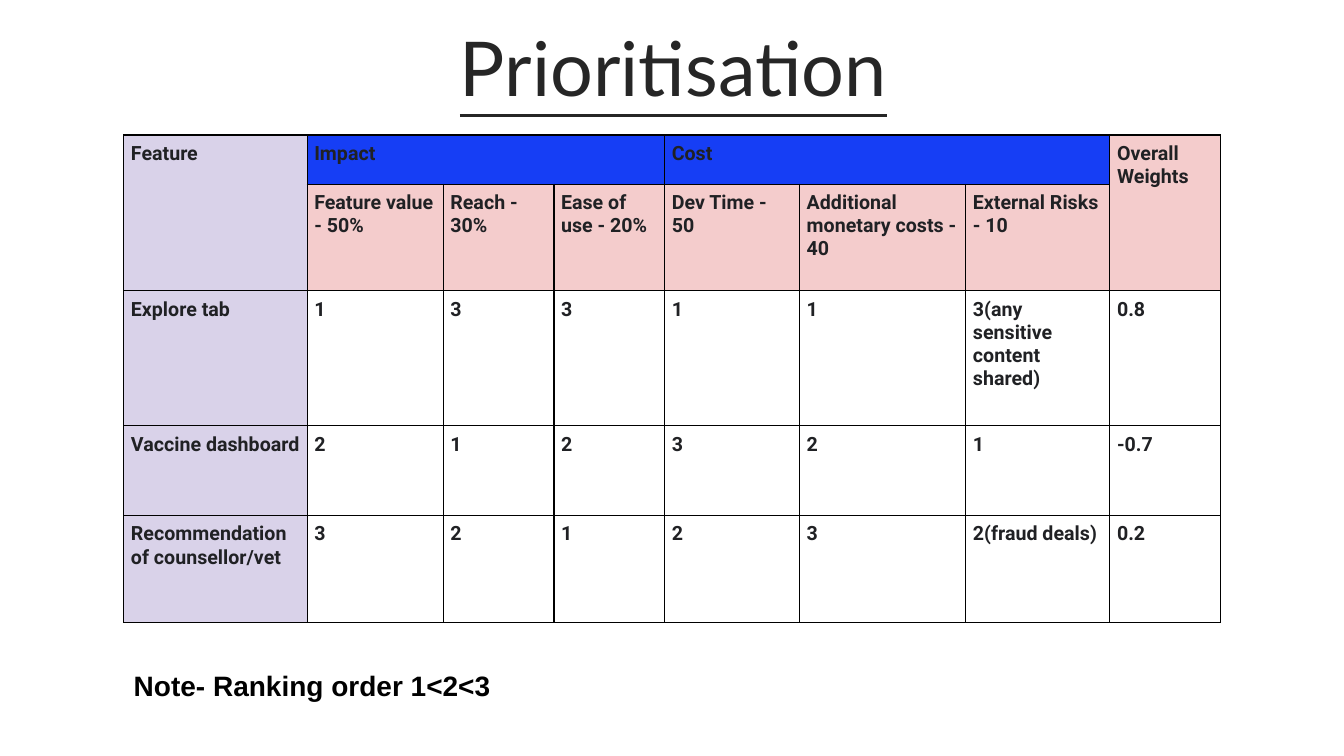
"""Build the feature prioritisation slide."""
from lxml.etree import SubElement
from pptx import Presentation
from pptx.dml.color import RGBColor
from pptx.enum.text import MSO_ANCHOR, MSO_AUTO_SIZE, PP_ALIGN
from pptx.oxml.ns import qn
from pptx.util import Cm, Pt

COLORS = {
    "title": "262626",
    "note": "000000",
    "cell": "202124",
    "border": "000000",
    "feature": "D9D2E9",
    "group": "163EF5",
    "criterion": "F4CCCC",
}
COLUMN_WIDTHS = [4.62, 3.43, 2.79, 2.79, 3.4, 4.19, 3.63, 2.79]
ROW_HEIGHTS = [1.24, 2.69, 3.4, 2.26, 2.69]
MERGES = [((0, 0), (1, 0)), ((0, 1), (0, 3)), ((0, 4), (0, 6)), ((0, 7), (1, 7))]
ROWS = [
    ["Feature", "Impact", "", "", "Cost", "", "", "Overall Weights"],
    ["", "Feature value - 50%", "Reach - 30%", "Ease of use - 20%", "Dev Time - 50",
     "Additional monetary costs - 40", "External Risks - 10", ""],
    ["Explore tab", "1", "3", "3", "1", "1", "3(any sensitive content shared)", "0.8"],
    ["Vaccine dashboard", "2", "1", "2", "3", "2", "1", "-0.7"],
    ["Recommendation of counsellor/vet", "3", "2", "1", "2", "3", "2(fraud deals)", "0.2"],
]


def write_text(frame, text, *, font, size, color, bold=False, underline=False,
               align=PP_ALIGN.LEFT, line_spacing=None, space_after=None):
    """Write one formatted paragraph into a text frame."""
    para = frame.paragraphs[0]
    para.alignment = align
    para.line_spacing = line_spacing
    para.space_after = space_after
    span = para.add_run()
    span.text = text
    span.font.name = font
    span.font.size = Pt(size)
    span.font.bold = bold
    span.font.underline = underline
    span.font.color.rgb = RGBColor.from_string(COLORS[color])


def fill_name(row, column):
    """Return the colour name of a table cell, or None for an empty fill."""
    if column == 0:
        return "feature"
    if row == 0 and column < 7:
        return "group"
    return "criterion" if row < 2 else None


class SlideBuilder:
    """Hold the fonts and the current slide."""

    title_font = "Lato"
    table_font = "Roboto"
    note_font = "Arial"
    cell_margin = Cm(0.18)
    border_width = Pt(1)

    def __init__(self, page):
        """Keep the slide to build on."""
        self.page = page

    def add_title(self, text, left, top, width, height):
        """Place and format the title placeholder."""
        title = self.page.shapes.title
        title.left, title.top, title.width, title.height = map(
            Cm, (left, top, width, height))
        frame = title.text_frame
        frame.auto_size = MSO_AUTO_SIZE.NONE
        frame.vertical_anchor = MSO_ANCHOR.MIDDLE
        write_text(frame, text, font=self.title_font, size=54, color="title",
                   underline=True, align=PP_ALIGN.CENTER, line_spacing=0.7,
                   space_after=Pt(16))

    def add_borders(self, cell):
        """Draw a line on each side of a cell."""
        properties = cell._tc.get_or_add_tcPr()
        for side in ("a:lnL", "a:lnR", "a:lnT", "a:lnB"):
            line = SubElement(properties, qn(side), w=str(self.border_width))
            fill = SubElement(line, qn("a:solidFill"))
            SubElement(fill, qn("a:srgbClr"), val=COLORS["border"])

    def format_cell(self, cell, text, color):
        """Set the margins, borders, fill and text of a cell."""
        cell.margin_left = cell.margin_right = self.cell_margin
        cell.margin_top = cell.margin_bottom = self.cell_margin
        self.add_borders(cell)
        if color:
            cell.fill.solid()
            cell.fill.fore_color.rgb = RGBColor.from_string(COLORS[color])
        else:
            cell.fill.background()
        if text:
            write_text(cell.text_frame, text, font=self.table_font, size=14,
                       color="cell", bold=True)

    def add_table(self, rows, left, top):
        """Add the prioritisation table with its merged headings."""
        table = self.page.shapes.add_table(
            len(ROW_HEIGHTS), len(COLUMN_WIDTHS), Cm(left), Cm(top),
            Cm(sum(COLUMN_WIDTHS)), Cm(sum(ROW_HEIGHTS))).table
        table.first_row = table.horz_banding = False
        for column, width in zip(table.columns, COLUMN_WIDTHS):
            column.width = Cm(width)
        for row, height in zip(table.rows, ROW_HEIGHTS):
            row.height = Cm(height)
        for first, last in MERGES:
            table.cell(*first).merge(table.cell(*last))
        for r, texts in enumerate(rows):
            for c, text in enumerate(texts):
                self.format_cell(table.cell(r, c), text, fill_name(r, c))

    def add_note(self, text, left, top, width, height):
        """Add a bold note in a text box."""
        box = self.page.shapes.add_textbox(*map(Cm, (left, top, width, height)))
        frame = box.text_frame
        frame.word_wrap = True
        frame.margin_left = frame.margin_right = Cm(0.25)
        frame.margin_top = frame.margin_bottom = Cm(0.25)
        write_text(frame, text, font=self.note_font, size=20, color="note", bold=True)


def main():
    """Build and save the deck."""
    deck = Presentation()
    deck.slide_width, deck.slide_height = Cm(33.87), Cm(19.05)
    builder = SlideBuilder(deck.slides.add_slide(deck.slide_layouts[5]))
    builder.add_title("Prioritisation", 0.89, 0.94, 32.16, 2.01)
    builder.add_table(ROWS, 3.12, 3.4)
    builder.add_note("Note- Ranking order 1<2<3", 3.12, 16.59, 24.36, 1.37)
    deck.save("out.pptx")


if __name__ == "__main__":
    main()
